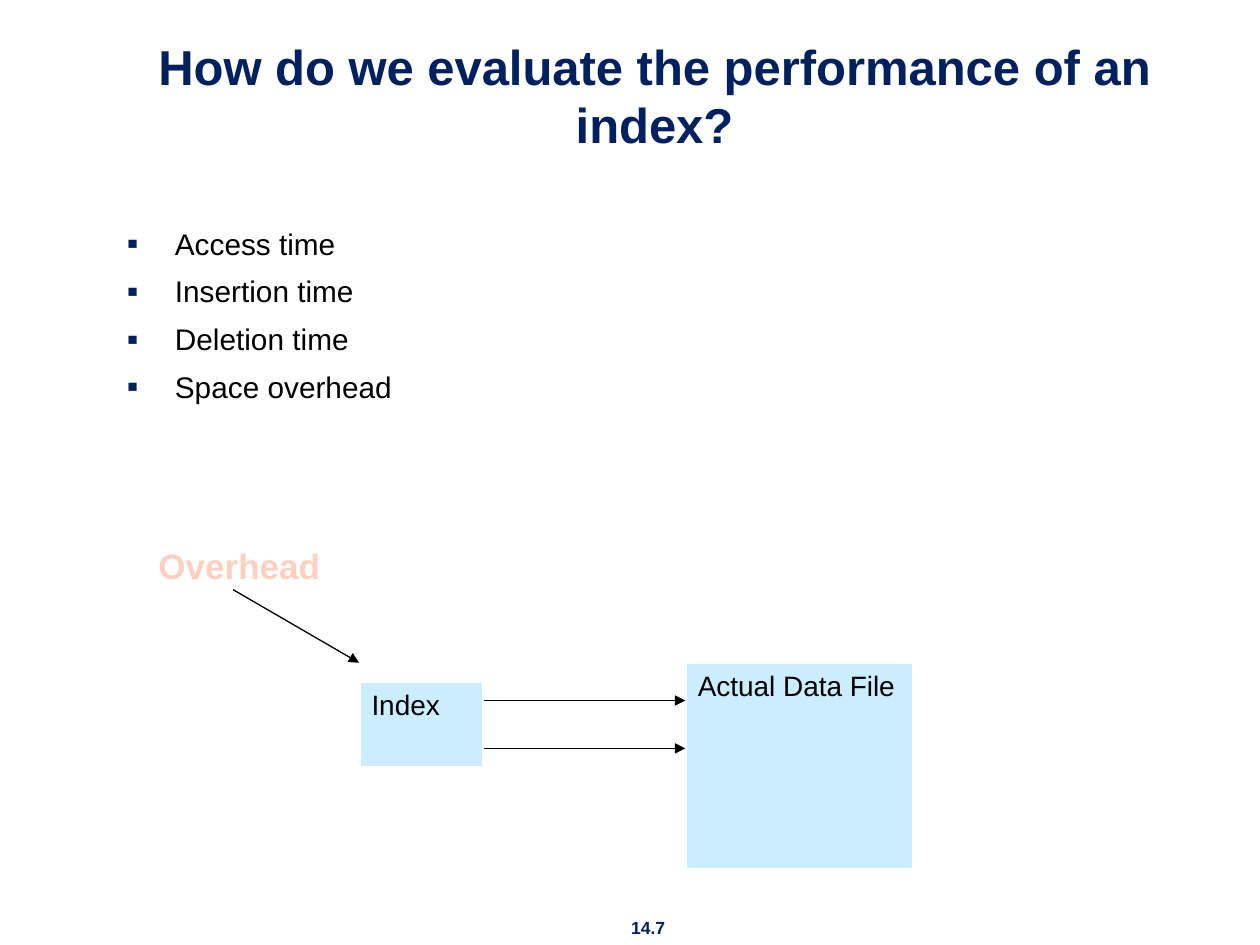
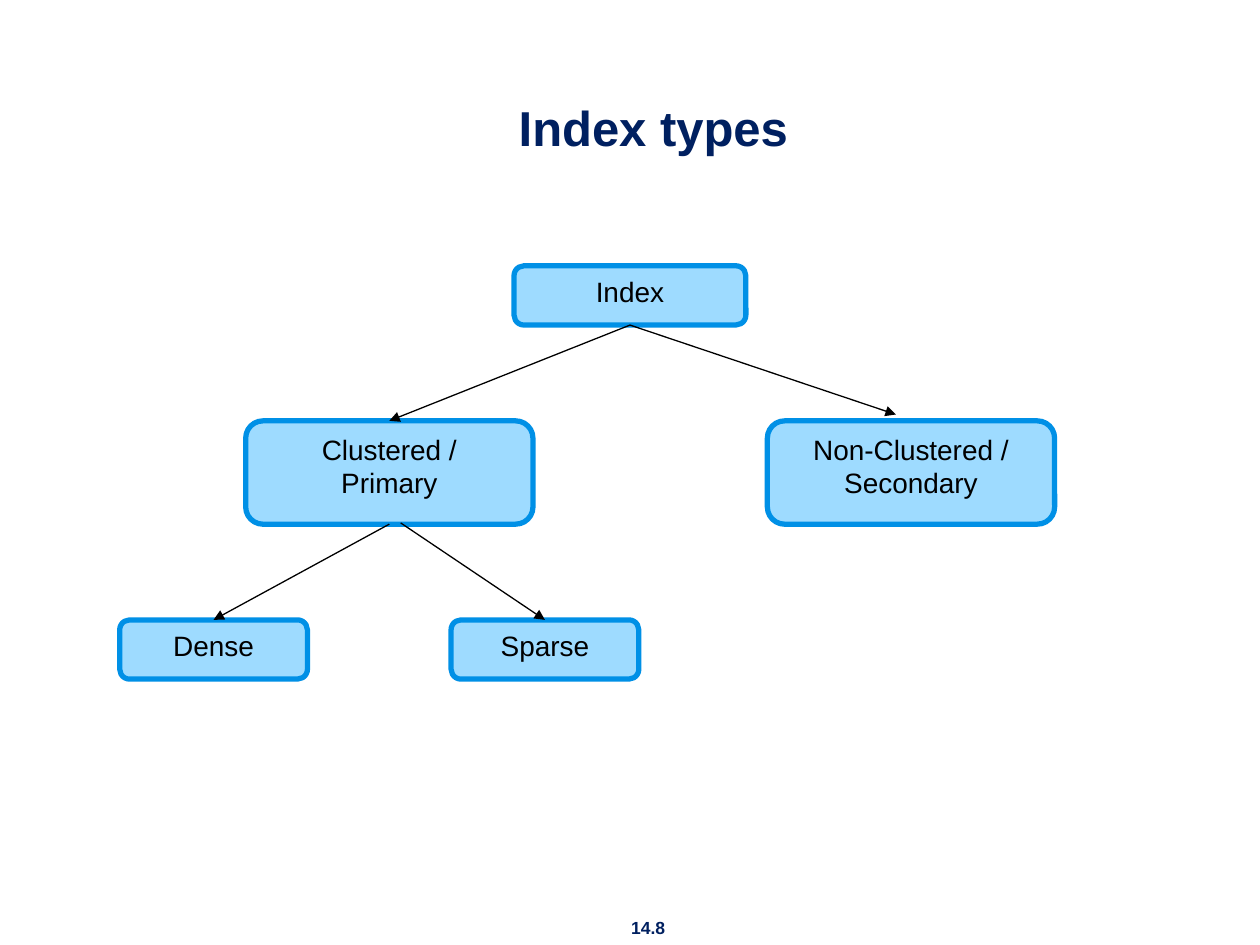
from dataclasses import dataclass

from lxml import etree
from pptx import Presentation
from pptx import util as u
from pptx.dml.color import RGBColor
from pptx.enum import shapes, text
from pptx.oxml import ns


@dataclass(frozen=True)
class Theme:
    font: str = "Arial"
    navy: str = "002060"
    black: str = "000000"
    white: str = "FFFFFF"
    peach: str = "FFCFC0"
    file_fill: str = "CCECFF"
    node_fill: str = "9EDBFF"
    node_line: str = "0090E6"
    title_size: float = 28
    overhead_size: float = 20
    bullet_size: float = 17
    label_size: float = 16
    number_size: float = 10
    bullet_gap: float = 6.9
    bullet_indent: float = 0.38


theme = Theme()
LEFT, CENTER = text.PP_ALIGN.LEFT, text.PP_ALIGN.CENTER
TOP, BOTTOM = text.MSO_ANCHOR.TOP, text.MSO_ANCHOR.BOTTOM


def write_text(shape, lines, size, color, bold=False, align=LEFT, anchor=TOP, wrap=False, bullet=None):
    """Fill a shape with one paragraph per line, bulleted if a character is given."""
    frame = shape.text_frame
    frame_format = {"word_wrap": wrap, "vertical_anchor": anchor, "auto_size": text.MSO_AUTO_SIZE.NONE}
    for name, value in frame_format.items():
        setattr(frame, name, value)
    font_format = {"name": theme.font, "size": u.Pt(size), "bold": bold}
    for index, line in enumerate(lines):
        paragraph = frame.paragraphs[0] if index == 0 else frame.add_paragraph()
        paragraph.alignment = align
        if bullet:
            if index:
                paragraph.space_before = u.Pt(theme.bullet_gap)
            properties = paragraph._p.get_or_add_pPr()
            indent = u.Inches(theme.bullet_indent)
            properties.set("marL", str(indent))
            properties.set("indent", str(-indent))
            bullet_color = etree.SubElement(properties, ns.qn("a:buClr"))
            etree.SubElement(bullet_color, ns.qn("a:srgbClr"), val=theme.navy)
            etree.SubElement(properties, ns.qn("a:buSzPct"), val="110000")
            etree.SubElement(properties, ns.qn("a:buFont"), typeface=theme.font)
            etree.SubElement(properties, ns.qn("a:buChar"), char=bullet)
        run = paragraph.add_run()
        run.text = line
        for name, value in font_format.items():
            setattr(run.font, name, value)
        run.font.color.rgb = RGBColor.from_string(color)


def add_arrow(slide, start, end, source=None, target=None):
    """Draw an arrow, joined to the source's bottom and the target's top where given."""
    arrow = slide.shapes.add_connector(
        shapes.MSO_CONNECTOR.STRAIGHT, *(u.Inches(value) for value in (*start, *end)))
    if source is not None:
        arrow.begin_connect(source, 2)
    if target is not None:
        arrow.end_connect(target, 0)
    arrow.line.width = u.Pt(0.75)
    arrow.line.color.rgb = RGBColor.from_string(theme.black)
    etree.SubElement(arrow.line._get_or_add_ln(), ns.qn("a:tailEnd"), type="triangle")
    etree.SubElement(arrow._element.spPr, ns.qn("a:effectLst"))


presentation = Presentation()
presentation.slide_width = u.Inches(10)
presentation.slide_height = u.Inches(7.5)

# Titles and slide numbers
pages = [
    ("How do we evaluate the performance of an index?", "14.7", (0.78, 0.6)),
    ("Index types", "14.8", (0.77, 0.62)),
]
slides = []
for heading, number, (left, top) in pages:
    slide = presentation.slides.add_slide(presentation.slide_layouts[5])
    title = slide.shapes.title
    place = {"left": left, "top": top, "width": 8.83, "height": 0.67}
    for name, value in place.items():
        setattr(title, name, u.Inches(value))
    write_text(title, [heading], theme.title_size, theme.navy, bold=True, align=CENTER, anchor=BOTTOM, wrap=True)
    number_box = slide.shapes.add_textbox(u.Inches(4.86), u.Inches(7.23), u.Inches(0.57), u.Inches(0.27))
    write_text(number_box, [number], theme.number_size, theme.navy, bold=True, align=CENTER)
    slides.append(slide)
performance_slide, types_slide = slides

# Index performance
criteria = performance_slide.shapes.add_textbox(u.Inches(0.91), u.Inches(1.74), u.Inches(8.4), u.Inches(4.6))
write_text(criteria, ["Access time", "Insertion time", "Deletion time", "Space overhead"],
           theme.bullet_size, theme.black, wrap=True, bullet="▪")

overhead = performance_slide.shapes.add_textbox(u.Inches(1.16), u.Inches(4.27), u.Inches(1.5), u.Inches(0.42))
write_text(overhead, ["Overhead"], theme.overhead_size, theme.peach, bold=True)

# Boxes of both slides
file_style = (shapes.MSO_SHAPE.RECTANGLE, theme.file_fill, theme.white, 2, LEFT)
node_style = (shapes.MSO_SHAPE.ROUNDED_RECTANGLE, theme.node_fill, theme.node_line, 3, CENTER)
boxes = [
    (performance_slide, file_style, ["Index"], (2.85, 5.41, 0.99, 0.68)),
    (performance_slide, file_style, ["Actual Data File"], (5.44, 5.26, 1.81, 1.64)),
    (types_slide, node_style, ["Index"], (4.08, 2.11, 1.84, 0.47)),
    (types_slide, node_style, ["Clustered /", "Primary"], (1.95, 3.34, 2.28, 0.82)),
    (types_slide, node_style, ["Non-Clustered /", "Secondary"], (6.09, 3.34, 2.28, 0.82)),
    (types_slide, node_style, ["Dense"], (0.95, 4.92, 1.49, 0.47)),
    (types_slide, node_style, ["Sparse"], (3.58, 4.92, 1.49, 0.47)),
]
drawn = []
for slide, (preset, fill, line, line_width, align), lines, place in boxes:
    box = slide.shapes.add_shape(preset, *(u.Inches(value) for value in place))
    box.shadow.inherit = False
    box.fill.solid()
    box.fill.fore_color.rgb = RGBColor.from_string(fill)
    box.line.color.rgb = RGBColor.from_string(line)
    box.line.width = u.Pt(line_width)
    write_text(box, lines, theme.label_size, theme.black, align=align)
    drawn.append(box)
root, clustered, non_clustered, dense, sparse = drawn[2:]

# Arrows from the index to the data file, and from the overhead label to the index
for height in (5.56, 5.94):
    add_arrow(performance_slide, (3.84, height), (5.44, height))
add_arrow(performance_slide, (1.85, 4.68), (2.85, 5.26))

# Arrows of the index tree
add_arrow(types_slide, (5, 2.58), (3.09, 3.34), root, clustered)
add_arrow(types_slide, (5, 2.58), (7.11, 3.29), root)
add_arrow(types_slide, (3.09, 4.16), (1.69, 4.92), clustered, dense)
add_arrow(types_slide, (3.18, 4.15), (4.33, 4.92), target=sparse)

presentation.save("out.pptx")
